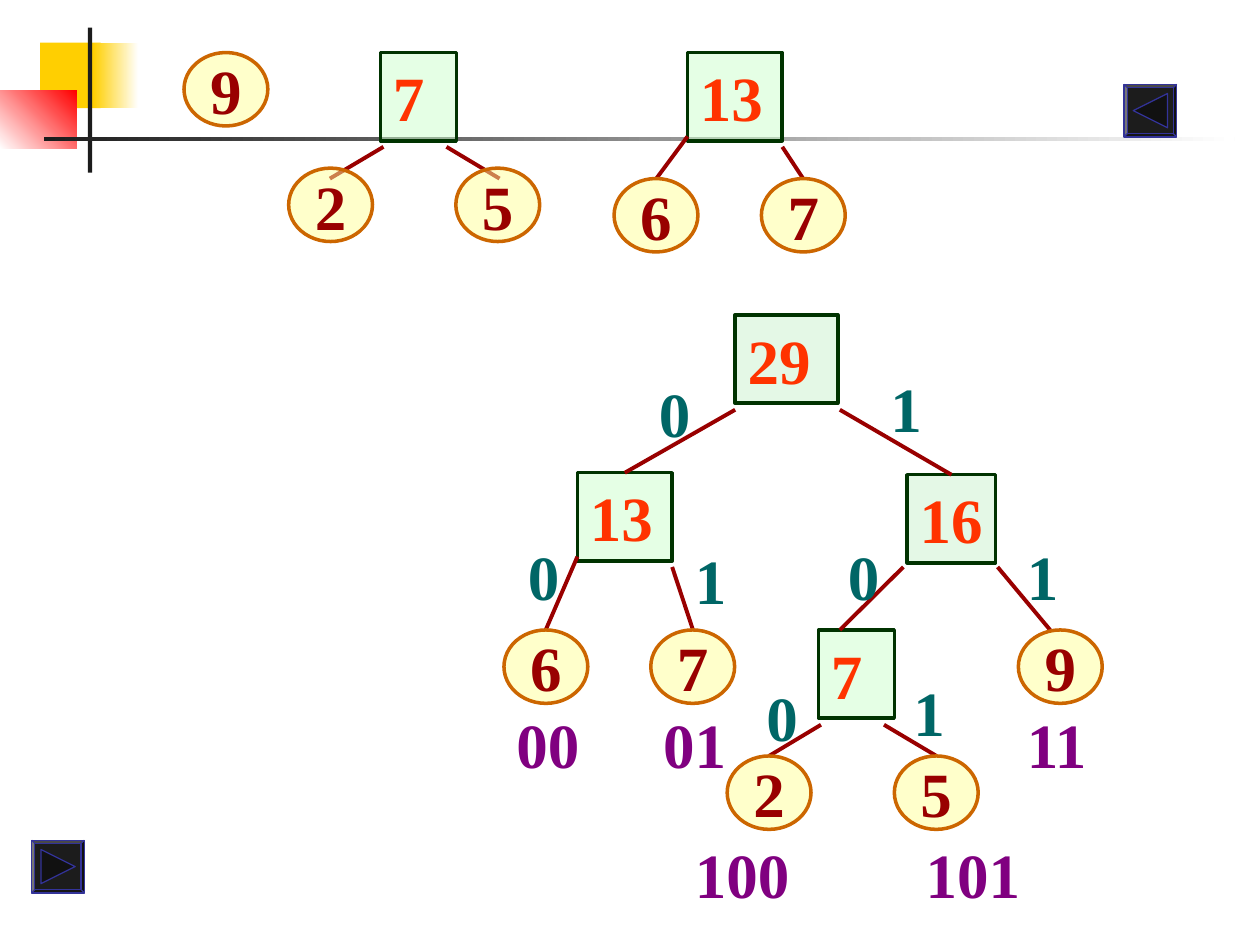
from lxml.etree import SubElement
from pptx import Presentation
from pptx.dml.color import RGBColor
from pptx.enum.shapes import MSO_CONNECTOR, MSO_SHAPE
from pptx.enum.text import MSO_ANCHOR, MSO_AUTO_SIZE, PP_ALIGN
from pptx.oxml.ns import qn
from pptx.util import Cm, Pt

# Positions and sizes are in centimetres
LEAF_SIZE = (1.69, 1.48)
ROW_HEIGHT = 1.78
BUTTON_SIZE = 1.06
ARROW_SIZE = 0.69
DARK = "1C1C1C"

# Weight, left, top
LEAVES = [
    ("9", 3.71, 1.06), ("2", 5.82, 3.39), ("5", 9.19, 3.39),
    ("6", 12.38, 3.6), ("7", 15.35, 3.6),
    ("6", 10.16, 12.7), ("7", 13.12, 12.7), ("9", 20.53, 12.7),
    ("2", 14.66, 15.24), ("5", 18.03, 15.24),
]
# Name: weight, left, top, width, fill
NODES = {
    "first 7": ("7", 7.67, 1.06, 1.53, "CCFFCC"),
    "first 13": ("13", 13.86, 1.06, 1.91, "CCFFCC"),
    "root": ("29", 14.82, 6.35, 2.07, "CAF2CE"),
    "left": ("13", 11.64, 9.53, 1.91, "CCFFCC"),
    "right": ("16", 18.29, 9.57, 1.78, "CAF2CE"),
    "inner 7": ("7", 16.5, 12.7, 1.53, "CCFFCC"),
}
# Start x, start y, end x, end y, joined node
EDGES = [
    (7.73, 2.96, 6.65, 3.6, None), (9, 2.96, 10.07, 3.6, None),
    (13.86, 2.75, 13.23, 3.6, None), (15.77, 2.96, 16.19, 3.6, None),
    (14.82, 8.26, 12.5, 9.53, "left"), (16.93, 8.26, 19.25, 9.57, "right"),
    (11.64, 11.22, 11, 12.7, None), (13.55, 11.43, 13.97, 12.7, None),
    (18.21, 11.43, 16.93, 12.7, None), (20.11, 11.43, 21.17, 12.7, None),
    (16.55, 14.61, 15.5, 15.24, None), (17.82, 14.61, 18.88, 15.24, None),
]
# Text, left, top
BITS = [
    ("0", 13.03, 7.42), ("0", 10.39, 10.72), ("0", 16.84, 10.72), ("0", 15.2, 13.55),
    ("1", 17.7, 7.32), ("1", 13.76, 10.8), ("1", 20.45, 10.72), ("1", 18.16, 13.46),
]
CODES = [
    ("00", 10.16, 14.1), ("01", 13.12, 14.1), ("11", 20.45, 14.1),
    ("100", 13.76, 16.72), ("101", 18.41, 16.72),
]


def color(value):
    return RGBColor.from_string(value)


def write(shape, text, font_color, wrap=False):
    frame = shape.text_frame
    frame.text = text
    frame.word_wrap = wrap
    paragraph = frame.paragraphs[0]
    paragraph.alignment = PP_ALIGN.LEFT
    font = paragraph.runs[0].font
    font.name, font.size, font.bold = "Times New Roman", Pt(36), True
    font.color.rgb = color(font_color)
    return frame


def add_shape(page, kind, left, top, width, height, fill, line=None, weight=2):
    shape = page.shapes.add_shape(kind, Cm(left), Cm(top), Cm(width), Cm(height))
    shape.shadow.inherit = False
    shape.fill.solid()
    shape.fill.fore_color.rgb = color(fill)
    if line:
        shape.line.color.rgb = color(line)
        shape.line.width = Pt(weight)
    else:
        shape.line.fill.background()
    return shape


def make_half_transparent(shape):
    fill = shape.element.spPr.find(qn("a:solidFill"))
    SubElement(fill[0], qn("a:alpha"), val="50000")


def add_bar(page, left, top, width, height, start, end=None, angle=0):
    bar = add_shape(page, MSO_SHAPE.RECTANGLE, left, top, width, height, start)
    if end:
        bar.fill.gradient()
        bar.fill.gradient_angle = angle
        for stop, value, place in zip(bar.fill.gradient_stops, (start, end), (0, 1)):
            stop.color.rgb = color(value)
            stop.position = place


def add_leaf(page, text, left, top):
    leaf = add_shape(page, MSO_SHAPE.OVAL, left, top, *LEAF_SIZE, "FFFF99", "CC6600")
    make_half_transparent(leaf)
    frame = write(leaf, text, "990000")
    frame.vertical_anchor = MSO_ANCHOR.MIDDLE
    frame.paragraphs[0].alignment = PP_ALIGN.CENTER


def add_node(page, text, left, top, width, fill):
    node = add_shape(page, MSO_SHAPE.RECTANGLE, left, top, width, ROW_HEIGHT, fill, "003300")
    make_half_transparent(node)
    frame = write(node, text, "FF3300", wrap=True)
    frame.vertical_anchor = MSO_ANCHOR.TOP
    return node


def add_edge(page, x1, y1, x2, y2, child=None):
    edge = page.shapes.add_connector(MSO_CONNECTOR.STRAIGHT, Cm(x1), Cm(y1), Cm(x2), Cm(y2))
    edge.line.color.rgb = color("990000")
    edge.line.width = Pt(2.25)
    SubElement(edge.element.spPr, qn("a:effectLst"))
    if child is not None:
        edge.end_connect(child, 0)


def add_label(page, text, left, top, font_color):
    width = 0.51 + 0.635 * len(text)
    box = page.shapes.add_textbox(Cm(left), Cm(top), Cm(width), Cm(ROW_HEIGHT))
    write(box, text, font_color).auto_size = MSO_AUTO_SIZE.SHAPE_TO_FIT_TEXT


def add_button(page, left, top, rotation):
    button = add_shape(page, MSO_SHAPE.BEVEL, left, top, BUTTON_SIZE, BUTTON_SIZE,
                       DARK, "333399", 0.75)
    button.adjustments[0] = 0.06
    inset = (BUTTON_SIZE - ARROW_SIZE) / 2
    arrow = add_shape(page, MSO_SHAPE.ISOSCELES_TRIANGLE, left + inset, top + inset,
                      ARROW_SIZE, ARROW_SIZE, "111111", "333399", 0.75)
    arrow.rotation = rotation


def main():
    deck = Presentation()
    deck.slide_width, deck.slide_height = Cm(25.4), Cm(19.05)
    page = deck.slides.add_slide(deck.slide_layouts[6])

    # Corner decoration
    add_bar(page, 0.81, 0.86, 1.22, 1.32, "FFCF01")
    add_bar(page, 1.88, 0.86, 0.91, 1.32, "FFCF01", "FFFFFF")
    add_bar(page, 0, 1.83, 1.55, 1.17, "FFFFFF", "FF0000", 45)
    add_bar(page, 1.77, 0.56, 0.09, 2.92, DARK)
    add_bar(page, 0.89, 2.76, 24, 0.09, DARK, "FFFFFF")

    # Trees
    nodes = {name: add_node(page, *values) for name, values in NODES.items()}
    for *ends, child in EDGES:
        add_edge(page, *ends, nodes.get(child))
    for leaf in LEAVES:
        add_leaf(page, *leaf)

    # Edge bits and leaf codes
    for bit in BITS:
        add_label(page, *bit, "006666")
    for code in CODES:
        add_label(page, *code, "800080")

    # Navigation buttons
    add_button(page, 22.66, 1.7, 270)
    add_button(page, 0.64, 16.94, 90)

    deck.save("out.pptx")


if __name__ == "__main__":
    main()
